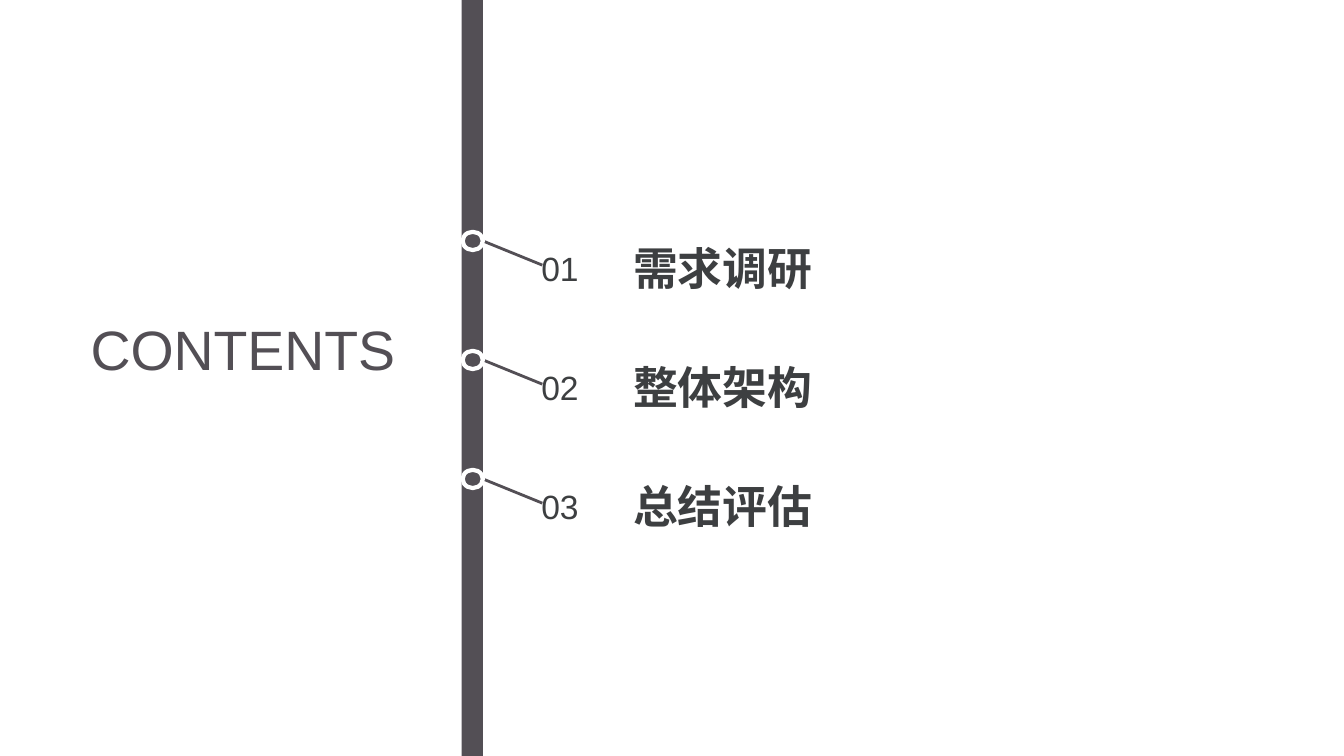
from lxml import etree
from pptx import Presentation
from pptx.dml.color import RGBColor
from pptx.enum import lang, shapes, text
from pptx.oxml import ns
from pptx.util import Pt

SLATE = "534F55"
INK = "3D3F41"
WHITE = "FFFFFF"
TOPICS = ["需求调研", "整体架构", "总结评估"]
ROW_TOP = 165.6
ROW_PITCH = 85


def colour(value):
    return RGBColor.from_string(value)


def write(shape, words, size, ink=INK, align=text.PP_ALIGN.CENTER, bold=False,
          spacing=1.1, inset_x=0, inset_y=0, language=lang.MSO_LANGUAGE_ID.ENGLISH_US):
    frame = shape.text_frame
    frame.word_wrap = True
    frame.auto_size = text.MSO_AUTO_SIZE.NONE
    frame.vertical_anchor = text.MSO_ANCHOR.MIDDLE
    frame.margin_left = frame.margin_right = Pt(inset_x)
    frame.margin_top = frame.margin_bottom = Pt(inset_y)
    para = frame.paragraphs[0]
    para.alignment = align
    para.line_spacing = spacing
    para.space_before = Pt(0)
    span = para.add_run()
    span.text = words
    span.font.name = "Arial"
    span.font.size = Pt(size)
    span.font.bold = bold
    span.font.language_id = language
    span.font.color.rgb = colour(ink)


def add_solid(page, kind, left, top, width, height, outline=None):
    shape = page.shapes.add_shape(kind, Pt(left), Pt(top), Pt(width), Pt(height))
    shape.shadow.inherit = False
    shape.fill.solid()
    shape.fill.fore_color.rgb = colour(SLATE)
    if outline:
        shape.line.color.rgb = colour(outline)
        shape.line.width = Pt(3)
    else:
        shape.line.fill.background()


def add_leader(page, left, top, right, bottom):
    leader = page.shapes.add_connector(
        shapes.MSO_CONNECTOR.STRAIGHT, Pt(left), Pt(top), Pt(right), Pt(bottom))
    leader.line.color.rgb = colour(SLATE)
    leader.line.width = Pt(2)
    etree.SubElement(leader.element.spPr, ns.qn("a:effectLst"))


def place_heading(page, left, top, width, height):
    title = page.shapes.title
    title.left, title.top = Pt(left), Pt(top)
    title.width, title.height = Pt(width), Pt(height)
    write(title, "CONTENTS", 39.6, ink=SLATE, spacing=0.9, inset_x=7.2, inset_y=3.6)


def add_topic(page, number, topic, left, top):
    add_leader(page, left + 14.4, top + 6.5, left + 56.9, top + 23.8)
    add_solid(page, shapes.MSO_SHAPE.OVAL, left, top, 14.4, 13, outline=WHITE)
    label = page.shapes.add_textbox(Pt(left + 121.7), Pt(top + 4.3), Pt(350.6), Pt(38.2))
    write(label, topic, 32, align=text.PP_ALIGN.JUSTIFY, bold=True,
          language=lang.MSO_LANGUAGE_ID.SIMPLIFIED_CHINESE)
    index = page.shapes.add_textbox(Pt(left + 43.9), Pt(top + 7.2), Pt(51.1), Pt(33.8))
    write(index, f"{number:02d}", 24)


def add_timeline(page, left, width, height):
    add_solid(page, shapes.MSO_SHAPE.RECTANGLE, left, 0, width, height)
    for row, topic in enumerate(TOPICS):
        add_topic(page, row + 1, topic, left + 0.7, ROW_TOP + row * ROW_PITCH)


def main():
    deck = Presentation()
    deck.slide_width, deck.slide_height = Pt(960), Pt(540)
    page = deck.slides.add_slide(deck.slide_layouts[5])
    place_heading(page, 52.6, 208.1, 241.9, 87.1)
    add_timeline(page, 329.8, 15.1, 540)
    deck.save("out.pptx")


if __name__ == "__main__":
    main()
